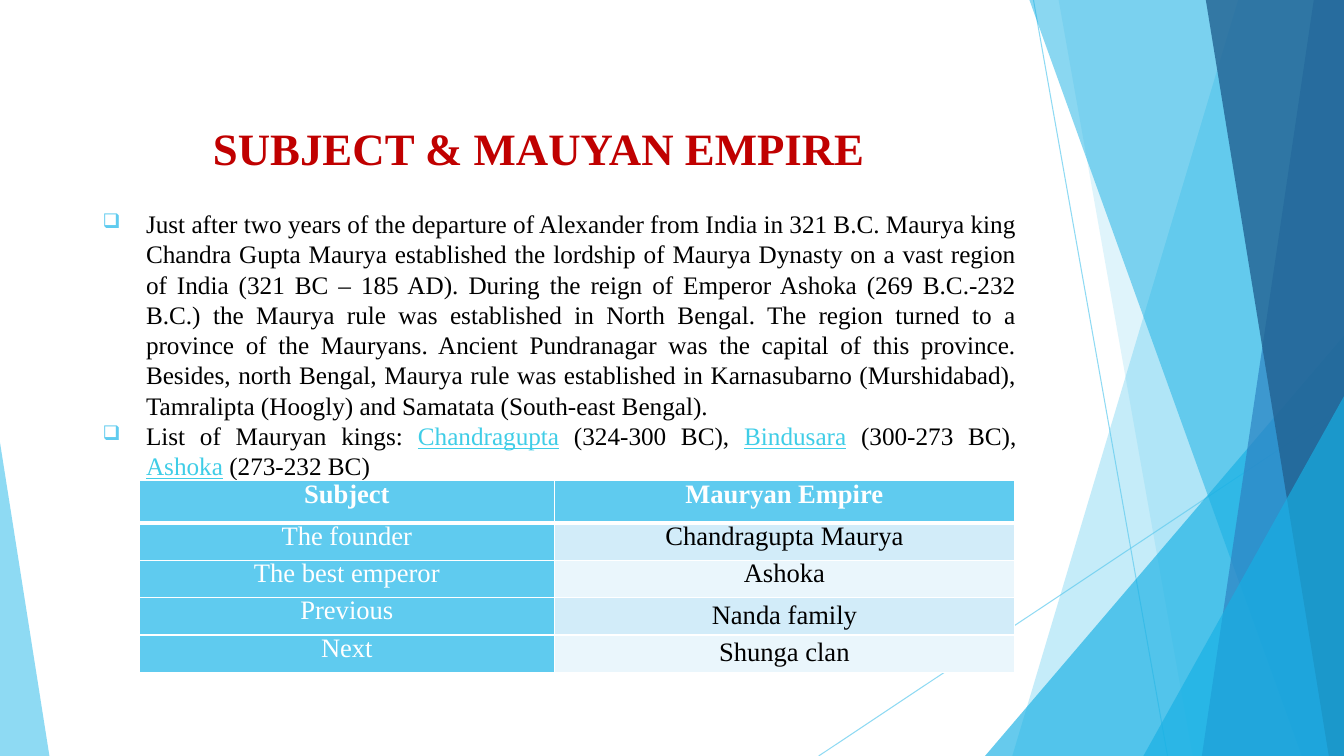
from dataclasses import dataclass

from lxml import etree
from pptx import Presentation
from pptx.dml.color import RGBColor
from pptx.enum.shapes import MSO_CONNECTOR, MSO_SHAPE
from pptx.enum.text import MSO_ANCHOR, PP_ALIGN
from pptx.oxml.ns import qn
from pptx.util import Inches, Pt

CENTER, JUSTIFY = PP_ALIGN.CENTER, PP_ALIGN.JUSTIFY
TOP, MIDDLE = MSO_ANCHOR.TOP, MSO_ANCHOR.MIDDLE
STRAIGHT = MSO_CONNECTOR.STRAIGHT
TRIANGLE = MSO_SHAPE.ISOSCELES_TRIANGLE


@dataclass(frozen=True)
class Theme:
    font: str = "Times New Roman"
    sky: str = "5FCBEF"
    cyan: str = "17B0E4"
    blue: str = "2E83C3"
    navy: str = "226292"
    red: str = "C00000"
    king: str = "3FCDE7"
    black: str = "000000"
    white: str = "FFFFFF"
    bands: tuple = ("D2ECF9", "EAF6FC")
    title_size: int = 32
    body_size: int = 18
    table_size: int = 19


THEME = Theme()
PAGE_WIDTH, PAGE_HEIGHT = 13.33, 7.5

# Top left, bottom left, colour and opacity of each band reaching the right edge
BANDS = [
    (12.28, 10.04, THEME.sky, 36),
    (10.5, 11.83, THEME.sky, 20),
    (10.21, 12.91, THEME.cyan, 50),
    (13.03, 11.92, THEME.blue, 70),
    (11.96, 13.18, THEME.navy, 80),
]
HISTORY = [
    ("Just after two years of the departure of Alexander from India in 321 B.C. "
     "Maurya king Chandra Gupta Maurya established the lordship of Maurya Dynasty "
     "on a vast region of India (321 BC – 185 AD). During the reign of Emperor "
     "Ashoka (269 B.C.-232 B.C.) the Maurya rule was established in North Bengal. "
     "The region turned to a province of the Mauryans. Ancient Pundranagar was the "
     "capital of this province. Besides, north Bengal, Maurya rule was established "
     "in Karnasubarno (Murshidabad), Tamralipta (Hoogly) and Samatata (South-east "
     "Bengal).", False),
]
KINGS = [
    ("List of Mauryan kings: ", False),
    ("Chandragupta", True), (" (324-300 BC), ", False),
    ("Bindusara", True), (" (300-273 BC), ", False),
    ("Ashoka", True), (" (273-232 BC)", False),
]
FACTS = [
    ("Subject", "Mauryan Empire"),
    ("The founder", "Chandragupta Maurya"),
    ("The best emperor", "Ashoka"),
    ("Previous", "Nanda family"),
    ("Next", "Shunga clan"),
]


def rgb(color):
    return RGBColor.from_string(color)


def set_opacity(shape, percent):
    color = shape.element.spPr.find(".//" + qn("a:srgbClr"))
    etree.SubElement(color, qn("a:alpha"), val=str(percent * 1000))


def paint(shape, color, opacity):
    shape.shadow.inherit = False
    shape.fill.solid()
    shape.fill.fore_color.rgb = rgb(color)
    set_opacity(shape, opacity)
    shape.line.fill.background()


def add_hairline(page, x1, y1, x2, y2):
    line = page.shapes.add_connector(
        STRAIGHT, Inches(x1), Inches(y1), Inches(x2), Inches(y2))
    line.line.width = Pt(0.75)
    line.line.color.rgb = rgb(THEME.sky)
    set_opacity(line, 70)
    etree.SubElement(line.element.spPr, qn("a:effectLst"))


def add_band(page, top_x, bottom_x, color, opacity):
    builder = page.shapes.build_freeform(Inches(top_x), 0)
    corners = [(PAGE_WIDTH, 0), (PAGE_WIDTH, PAGE_HEIGHT), (bottom_x, PAGE_HEIGHT)]
    builder.add_line_segments([(Inches(x), Inches(y)) for x, y in corners])
    paint(builder.convert_to_shape(), color, opacity)


def add_triangle(page, left, top, width, apex, color, opacity):
    """Add a triangle standing on the bottom edge of the page."""
    shape = page.shapes.add_shape(
        TRIANGLE, Inches(left), Inches(top), Inches(width), Inches(PAGE_HEIGHT - top))
    shape.adjustments[0] = apex
    paint(shape, color, opacity)


def add_text_box(page, left, top, width, height):
    frame = page.shapes.add_textbox(
        Inches(left), Inches(top), Inches(width), Inches(height)).text_frame
    frame.word_wrap = True
    frame.vertical_anchor = TOP
    return frame


def style(para, size, color, align, bold=False):
    para.alignment = align
    para.font.name = THEME.font
    para.font.size = Pt(size)
    para.font.bold = bold
    para.font.color.rgb = rgb(color)


def add_bullet(para):
    props = para._p.get_or_add_pPr()
    props.set("marL", str(Inches(0.62)))
    props.set("indent", str(Inches(-0.43)))
    color = etree.SubElement(props, qn("a:buClr"))
    etree.SubElement(color, qn("a:srgbClr"), val=THEME.sky)
    etree.SubElement(props, qn("a:buSzPct"), val="80000")
    etree.SubElement(props, qn("a:buChar"), char="❑")


def fill_bullet(para, spans):
    add_bullet(para)
    style(para, THEME.body_size, THEME.black, JUSTIFY)
    for text, is_king in spans:
        span = para.add_run()
        span.text = text
        if is_king:
            span.font.color.rgb = rgb(THEME.king)
            span.font.underline = True


def set_borders(cell, is_header, below_header):
    props = cell._tc.get_or_add_tcPr()
    widths = {"L": 1, "R": 1, "T": 3 if below_header else 1, "B": 3 if is_header else 1}
    for side, width in widths.items():
        line = etree.SubElement(props, qn("a:ln" + side), w=str(Pt(width)))
        fill = etree.SubElement(line, qn("a:solidFill"))
        etree.SubElement(fill, qn("a:srgbClr"), val=THEME.white)


def fill_cell(cell, text, row, column):
    is_header = row == 0
    is_blue = is_header or column == 0
    set_borders(cell, is_header, row == 1)
    cell.fill.solid()
    cell.fill.fore_color.rgb = rgb(THEME.sky if is_blue else THEME.bands[(row - 1) % 2])
    cell.margin_left = cell.margin_right = Inches(0.07)
    cell.margin_top = cell.margin_bottom = 0
    cell.vertical_anchor = MIDDLE if row > 2 and column == 1 else TOP
    para = cell.text_frame.paragraphs[0]
    style(para, THEME.table_size, THEME.white if is_blue else THEME.black, CENTER, is_header)
    para.line_spacing = 0.95
    para.add_run().text = text


def add_facts_table(page):
    table = page.shapes.add_table(
        len(FACTS), 2, Inches(1.38), Inches(4.77), Inches(8.68), Inches(1.9)).table
    for column, width in zip(table.columns, (4.12, 4.56)):
        column.width = Inches(width)
    for row, texts in enumerate(FACTS):
        table.rows[row].height = Inches(0.37 if row else 0.42)
        for column, text in enumerate(texts):
            fill_cell(table.cell(row, column), text, row, column)


def add_backdrop(page):
    add_hairline(page, 10.25, 0, 11.58, PAGE_HEIGHT)
    add_hairline(page, PAGE_WIDTH, 4.03, 8.12, PAGE_HEIGHT)
    for band in BANDS[:2]:
        add_band(page, *band)
    add_triangle(page, 9.77, 3.33, 3.56, 1, THEME.cyan, 66)
    for band in BANDS[2:]:
        add_band(page, *band)
    add_triangle(page, 11.34, 3.93, 1.99, 1, THEME.cyan, 66)
    add_triangle(page, 0, 4.39, 0.49, 0, THEME.sky, 70)


def main():
    deck = Presentation()
    deck.slide_width, deck.slide_height = Inches(PAGE_WIDTH), Inches(PAGE_HEIGHT)
    page = deck.slides.add_slide(deck.slide_layouts[6])
    add_backdrop(page)

    title = add_text_box(page, 0.73, 1.15, 9.23, 0.75).paragraphs[0]
    style(title, THEME.title_size, THEME.red, CENTER, bold=True)
    title.add_run().text = "SUBJECT & MAUYAN EMPIRE"

    body = add_text_box(page, 0.73, 2.02, 9.45, 4.93)
    fill_bullet(body.paragraphs[0], HISTORY)
    fill_bullet(body.add_paragraph(), KINGS)
    add_facts_table(page)
    deck.save("out.pptx")


if __name__ == "__main__":
    main()
